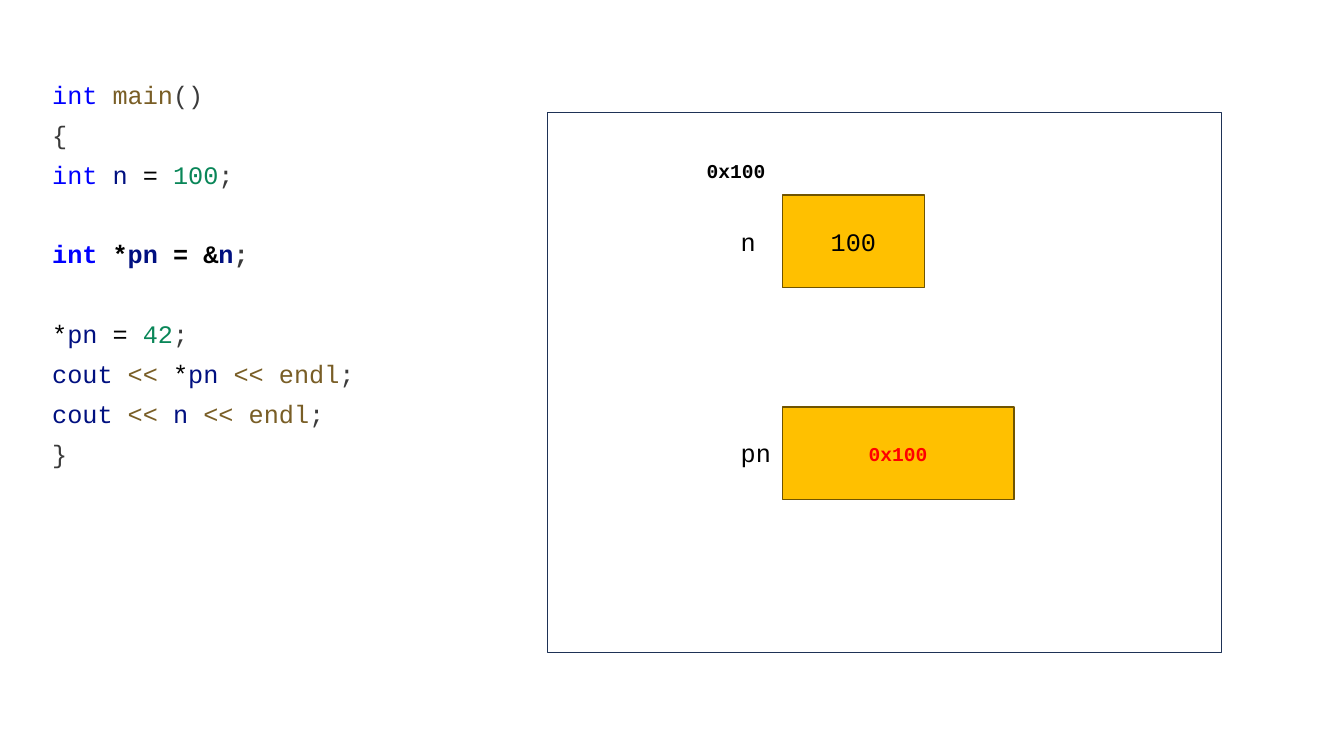
"""Draws a slide that shows how a pointer holds the address of a variable."""
from pptx import Presentation as Deck
from pptx.dml.color import RGBColor as Color
from pptx.enum.shapes import MSO_SHAPE as Kind
from pptx.enum.text import MSO_ANCHOR as Anchor, MSO_AUTO_SIZE as Fit, PP_ALIGN as Align
from pptx.util import Pt

BLACK = Color(0, 0, 0)
WHITE = Color(255, 255, 255)
RED = Color(255, 0, 0)
GOLD = Color(0xFF, 0xC0, 0x00)
BROWN = Color(0x70, 0x54, 0x00)
NAVY = Color(0x1E, 0x32, 0x56)
TYPE = Color(0x00, 0x00, 0xFF)
CALL = Color(0x79, 0x5E, 0x26)
NAME = Color(0x00, 0x10, 0x80)
VALUE = Color(0x09, 0x86, 0x58)
MARK = Color(0x3B, 0x3B, 0x3B)

PITCH = 28.5
END = (";", MARK)
CODE = [
    ([("int ", TYPE), ("main", CALL), ("()", MARK)], {}),
    ([("{", MARK)], {}),
    ([("int ", TYPE), ("n ", NAME), ("= ", BLACK), ("100", VALUE), END], {}),
    ([("int ", TYPE), ("*", BLACK), ("pn ", NAME), ("= &", BLACK), ("n", NAME), END],
     {"bold": True, "before": PITCH}),
    ([("*", BLACK), ("pn ", NAME), ("= ", BLACK), ("42", VALUE), END], {"before": PITCH}),
    ([("cout ", NAME), ("<< ", CALL), ("*", BLACK), ("pn ", NAME), ("<< endl", CALL), END], {}),
    ([("cout ", NAME), ("<< ", CALL), ("n ", NAME), ("<< endl", CALL), END], {}),
    ([("}", MARK)], {}),
]


def write(para, text, color=BLACK, size=18, bold=False, font="Courier New"):
    """Add a run of text with its format to a paragraph."""
    run = para.add_run()
    run.text = text
    run.font.name = font
    run.font.size = Pt(size)
    run.font.bold = bold
    run.font.color.rgb = color


class Board:
    """Holds the style and the current slide."""

    def __init__(self, slide, line=1):
        self.shapes = slide.shapes
        self.line = line

    def frame(self, left, top, width, height, wrap=True):
        """Add a text box and return its text frame."""
        box = self.shapes.add_textbox(Pt(left), Pt(top), Pt(width), Pt(height))
        frame = box.text_frame
        frame.word_wrap = wrap
        frame.auto_size = Fit.SHAPE_TO_FIT_TEXT
        return frame

    def label(self, text, left, top, width, height, wrap=False, **style):
        """Add a one-line label."""
        write(self.frame(left, top, width, height, wrap).paragraphs[0], text, **style)

    def code(self, lines, left, top, width, height):
        """Add a coloured code listing."""
        frame = self.frame(left, top, width, height)
        for index, (parts, style) in enumerate(lines):
            para = frame.add_paragraph() if index else frame.paragraphs[0]
            para.line_spacing = Pt(PITCH)
            para.space_before = Pt(style.get("before", 0))
            for text, color in parts:
                write(para, text, color=color, bold=style.get("bold", False))

    def box(self, left, top, width, height, fill=GOLD, edge=BROWN, text="", **style):
        """Add a rectangle with optional centred text."""
        shape = self.shapes.add_shape(Kind.RECTANGLE, Pt(left), Pt(top), Pt(width), Pt(height))
        shape.shadow.inherit = False
        shape.fill.solid()
        shape.fill.fore_color.rgb = fill
        shape.line.color.rgb = edge
        shape.line.width = Pt(self.line)
        if text:
            shape.text_frame.vertical_anchor = Anchor.MIDDLE
            para = shape.text_frame.paragraphs[0]
            para.alignment = Align.CENTER
            write(para, text, **style)


def main():
    """Build and save the slide."""
    deck = Deck()
    deck.slide_width, deck.slide_height = Pt(960), Pt(540)
    board = Board(deck.slides.add_slide(deck.slide_layouts[6]))
    board.code(CODE, 30.2, 46.1, 479.5, 298)
    board.box(391, 80.4, 481.4, 385.8, fill=WHITE, edge=NAVY)
    board.box(558.8, 139.2, 101.6, 66.2, text="100")
    board.label("n", 522, 157.8, 25.2, 29)
    board.label("0x100", 497.6, 110.3, 128.9, 24.5, wrap=True, size=14, bold=True)
    board.box(558.8, 290.6, 165.6, 66.2, text="0x100", color=RED, size=14, bold=True)
    board.label("pn", 522, 309, 36, 29)
    deck.save("out.pptx")


if __name__ == "__main__":
    main()
